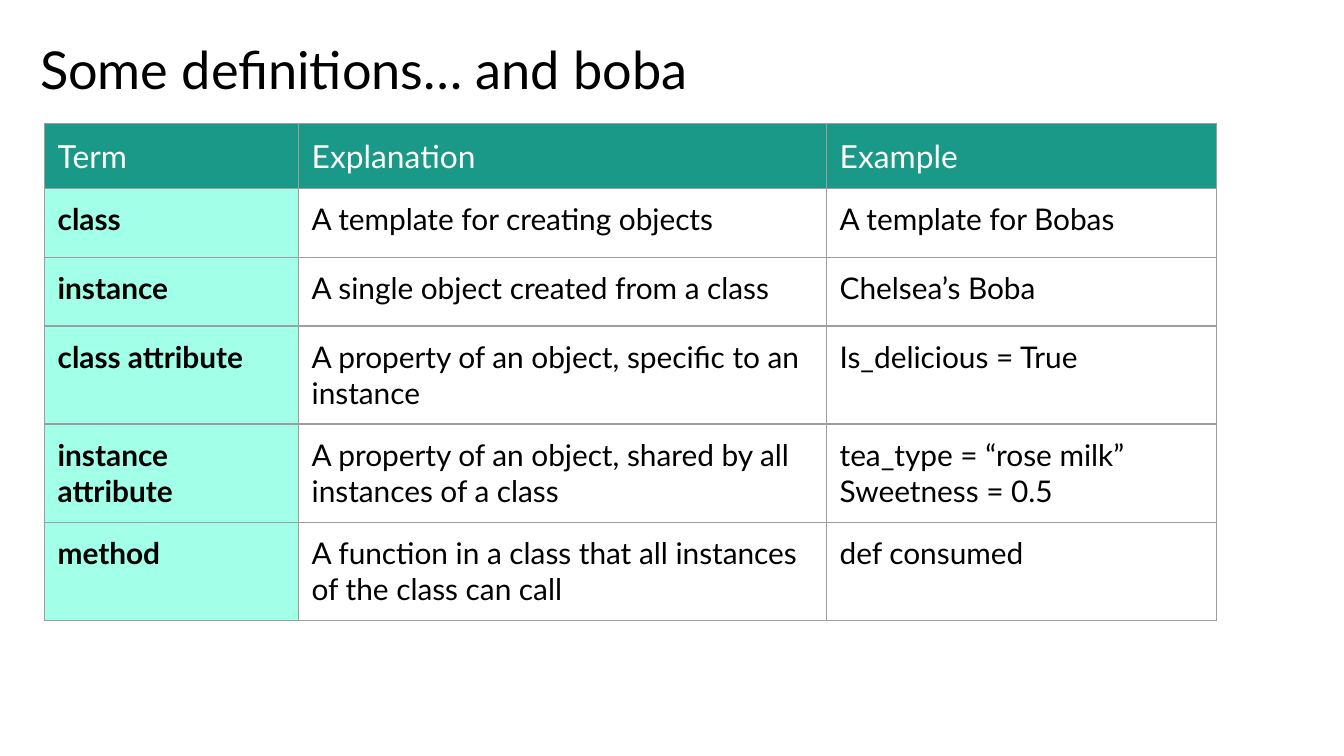
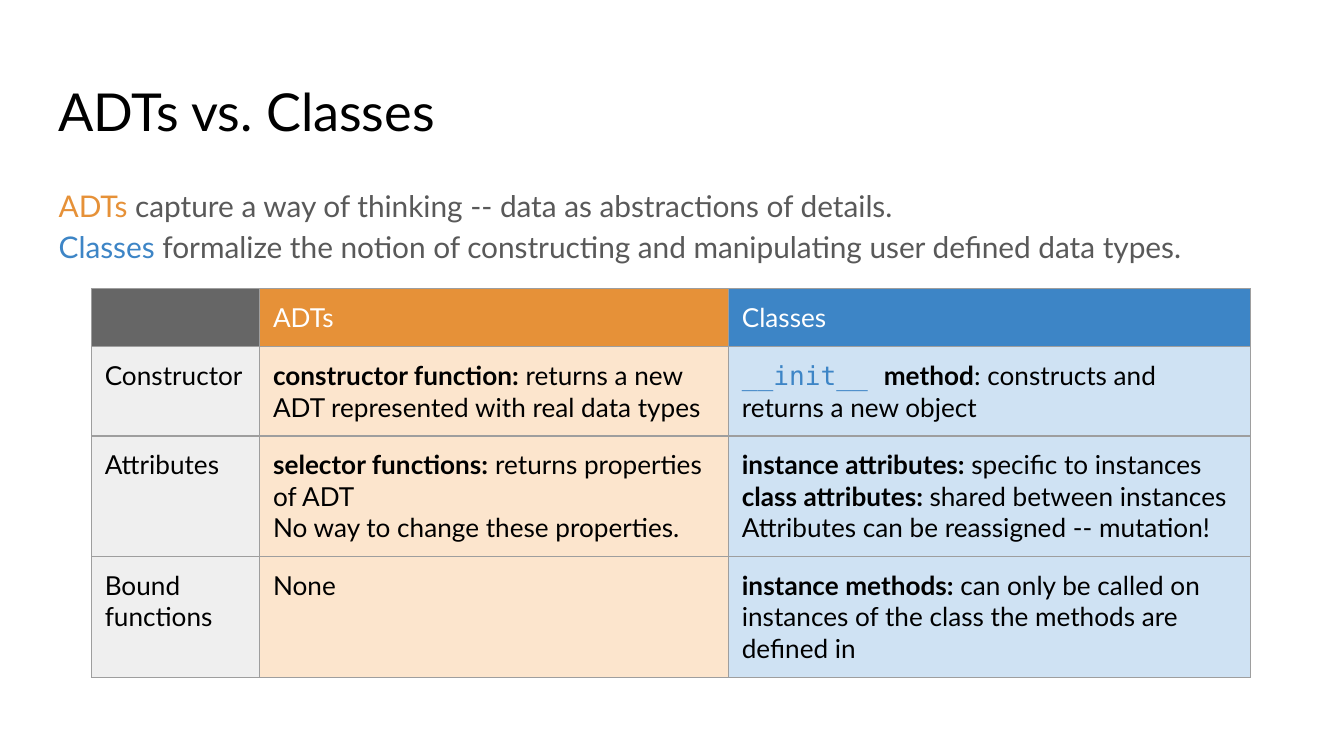
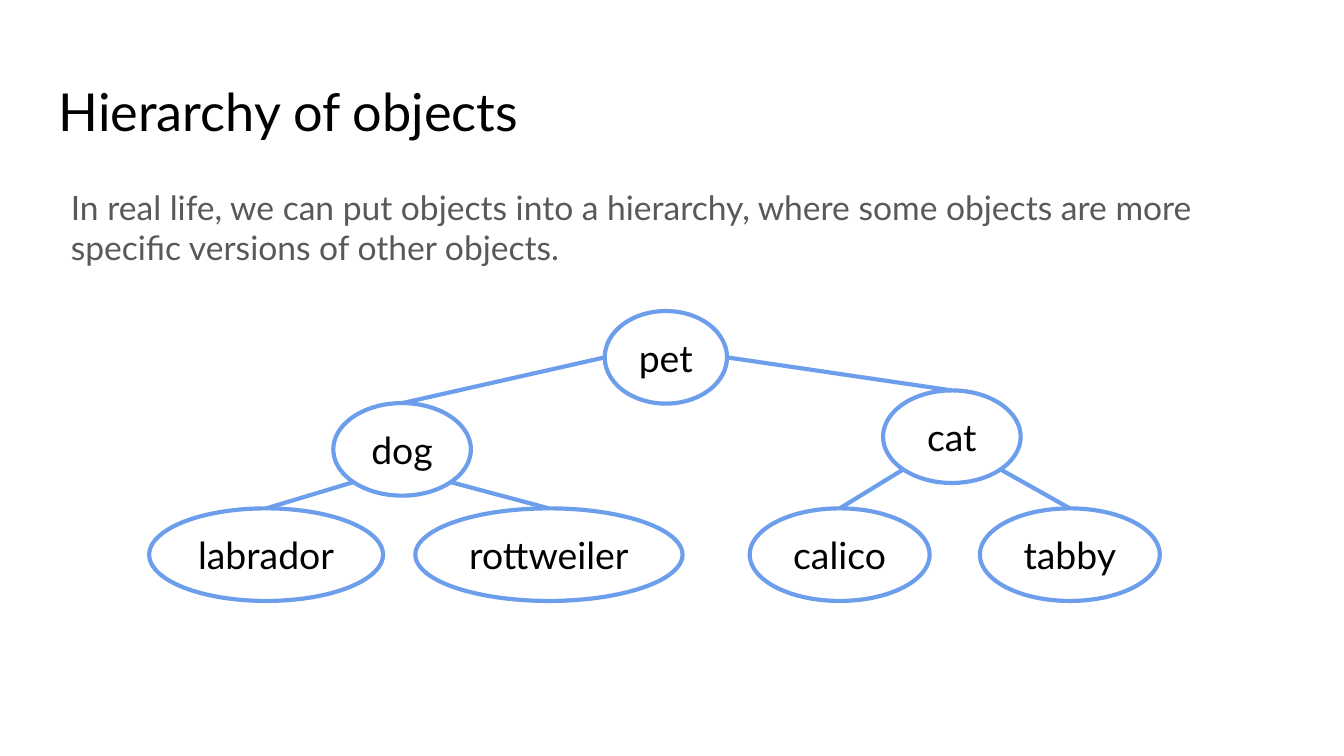
from math import cos, radians, sin

from lxml import etree
from pptx import Presentation
from pptx.dml.color import RGBColor
from pptx.enum.shapes import MSO_CONNECTOR, MSO_SHAPE
from pptx.enum.text import MSO_ANCHOR, PP_ALIGN
from pptx.oxml.ns import qn
from pptx.util import Cm, Pt

STRAIGHT = MSO_CONNECTOR.STRAIGHT
OVAL = MSO_SHAPE.OVAL
MIDDLE = MSO_ANCHOR.MIDDLE
TOP = MSO_ANCHOR.TOP
CENTER = PP_ALIGN.CENTER
LEFT = PP_ALIGN.LEFT

COLORS = {
    "text": "000000",
    "muted": "595959",
    "white": "FFFFFF",
    "grid": "9E9E9E",
    "teal": "1A9988",
    "mint": "A2FFE8",
    "orange": "E69138",
    "peach": "FCE5CD",
    "blue": "3D85C6",
    "sky": "CFE2F3",
    "dark": "666666",
    "light": "EFEFEF",
    "tree": "6D9EEB",
}
FONT = "Lato"
CODE_FONT = "DejaVu Sans Mono"
INSET = 0.25
LINE_WIDTH = 2.25
TITLE_SIZE = (23.67, 1.6)
BOLD = {"bold": True}


def rgb(color):
    return RGBColor.from_string(COLORS[color])


def write(frame, paragraphs, size, color="text", align=LEFT, spacing=None):
    for index, content in enumerate(paragraphs):
        paragraph = frame.paragraphs[0] if index == 0 else frame.add_paragraph()
        paragraph.alignment = align
        if spacing:
            paragraph.line_spacing = spacing
        runs = [(content, {})] if isinstance(content, str) else content
        for text, style in runs:
            run = paragraph.add_run()
            run.text = text
            run.font.name = style.get("font", FONT)
            run.font.size = Pt(size)
            run.font.bold = style.get("bold", False)
            run.font.color.rgb = rgb(style.get("color", color))


def set_insets(holder):
    holder.margin_left = holder.margin_right = Cm(INSET)
    holder.margin_top = holder.margin_bottom = Cm(INSET)


def add_text(slide, box, paragraphs, size, color="text", spacing=None):
    frame = slide.shapes.add_textbox(*map(Cm, box)).text_frame
    frame.word_wrap = True
    frame.vertical_anchor = TOP
    set_insets(frame)
    write(frame, paragraphs, size, color, spacing=spacing)


def add_title(slide, title, left=0.86, top=1.24):
    add_text(slide, (left, top, *TITLE_SIZE), [title], 28)


def add_borders(cell):
    properties = cell._tc.get_or_add_tcPr()
    for side in ("lnL", "lnR", "lnT", "lnB"):
        line = etree.SubElement(properties, qn(f"a:{side}"), w=str(Pt(0.75)))
        fill = etree.SubElement(line, qn("a:solidFill"))
        etree.SubElement(fill, qn("a:srgbClr"), val=COLORS["grid"])


def fill_cell(cell, paragraphs, fill, size, color, bold):
    add_borders(cell)
    if fill:
        cell.fill.solid()
        cell.fill.fore_color.rgb = rgb(fill)
    else:
        cell.fill.background()
    if paragraphs:
        set_insets(cell)
        if bold:
            paragraphs = [[(text, BOLD)] for text in paragraphs]
        write(cell.text_frame, paragraphs, size, color)


def add_grid(slide, origin, widths, heights, rows, header_fills, body_fills,
             header_size, body_size, bold_terms=False):
    box = (*origin, sum(widths), sum(heights))
    table = slide.shapes.add_table(len(rows), len(widths), *map(Cm, box)).table
    table.first_row = table.horz_banding = False
    for column, width in zip(table.columns, widths):
        column.width = Cm(width)
    for row, height in zip(table.rows, heights):
        row.height = Cm(height)
    for r, row in enumerate(rows):
        fills = body_fills if r else header_fills
        size, color = (body_size, "text") if r else (header_size, "white")
        for c, (paragraphs, fill) in enumerate(zip(row, fills)):
            fill_cell(table.cell(r, c), paragraphs, fill, size, color,
                      bold_terms and r > 0 and c == 0)


def add_tree(slide, origin, nodes, edges, node_height):
    left, top = origin

    def rim(name, angle):
        x, y, width = nodes[name]
        turn = radians(angle)
        return (Cm(left + x + width / 2 * (1 + cos(turn))),
                Cm(top + y + node_height / 2 * (1 + sin(turn))))

    for name, (x, y, width) in nodes.items():
        node = slide.shapes.add_shape(
            OVAL, Cm(left + x), Cm(top + y), Cm(width), Cm(node_height))
        node.shadow.inherit = False
        node.fill.background()
        node.line.color.rgb = rgb("tree")
        node.line.width = Pt(LINE_WIDTH)
        node.text_frame.word_wrap = True
        node.text_frame.vertical_anchor = MIDDLE
        set_insets(node.text_frame)
        write(node.text_frame, [name], 20, align=CENTER)

    for parent, angle, child in edges:
        branch = slide.shapes.add_connector(
            STRAIGHT, *rim(parent, angle), *rim(child, -90))
        branch.line.color.rgb = rgb("tree")
        branch.line.width = Pt(LINE_WIDTH)
        etree.SubElement(branch._element.spPr, qn("a:effectLst"))


def build_definitions(slide):
    add_title(slide, "Some definitions… and boba", 0.51, 0.46)
    rows = [
        (["Term"], ["Explanation"], ["Example"]),
        (["class"], ["A template for creating objects"], ["A template for Bobas"]),
        (["instance"], ["A single object created from a class"], ["Chelsea’s Boba"]),
        (["class attribute"],
         ["A property of an object, specific to an instance"],
         ["Is_delicious = True"]),
        (["instance attribute"],
         ["A property of an object, shared by all instances of a class"],
         ["tea_type = “rose milk”", "Sweetness = 0.5"]),
        (["method"],
         ["A function in a class that all instances of the class can call"],
         ["def consumed"]),
    ]
    add_grid(slide, (0.84, 2.34), (4.8, 9.98, 7.37),
             (1.12, 1.3, 1.3, 1.74, 1.74, 1.74), rows,
             ["teal"] * 3, ["mint", None, None], 17, 16, bold_terms=True)


def build_comparison(slide):
    add_title(slide, "ADTs vs. Classes")
    add_text(slide, (0.86, 3.2, 23.67, 2.64), [
        [("ADTs", {"color": "orange"}),
         (" capture a way of thinking -- data as abstractions of details.", {})],
        [("Classes", {"color": "blue"}),
         (" formalize the notion of constructing and manipulating"
          " user defined data types.", {})],
    ], 16, "muted", spacing=1.15)
    rows = [
        ([], ["ADTs"], ["Classes"]),
        (["Constructor"],
         [[("constructor function:", BOLD),
           (" returns a new ADT represented with real data types", {})]],
         [[("__init__ ", {"font": CODE_FONT, "color": "blue"}),
           ("method", BOLD),
           (": constructs and returns a new object", {})]]),
        (["Attributes"],
         [[("selector functions:", BOLD), (" returns properties of ADT", {})],
          "No way to change these properties."],
         [[("instance attributes: ", BOLD), ("specific to instances", {})],
          [("class attributes: ", BOLD), ("shared between instances", {})],
          "Attributes can be reassigned -- mutation!"]),
        (["Bound functions"],
         ["None"],
         [[("instance methods: ", BOLD),
           ("can only be called on instances of the class"
            " the methods are defined in", {})]]),
    ]
    add_grid(slide, (1.73, 5.46), (3.18, 8.86, 9.86), [1.08] * 4, rows,
             ["dark", "orange", "blue"], ["light", "peach", "sky"], 14, 14)


def build_hierarchy(slide):
    add_title(slide, "Hierarchy of objects")
    leaf_top = 3.73
    nodes = {
        "pet": (8.61, 0, 2.31),
        "dog": (3.48, 1.74, 2.6),
        "cat": (13.87, 1.5, 2.6),
        "labrador": (0, leaf_top, 4.42),
        "rottweiler": (5.03, leaf_top, 5.05),
        "calico": (11.35, leaf_top, 3.4),
        "tabby": (15.7, leaf_top, 3.4),
    }
    edges = [
        ("pet", 180, "dog"),
        ("dog", 135, "labrador"),
        ("dog", 45, "rottweiler"),
        ("cat", 135, "calico"),
        ("cat", 45, "tabby"),
        ("pet", 0, "cat"),
    ]
    add_tree(slide, (2.82, 5.88), nodes, edges, 1.75)
    add_text(slide, (1.09, 3.28, 22.63, 2.46), [
        "In real life, we can put objects into a hierarchy, where some objects"
        " are more specific versions of other objects."
    ], 18, "muted")


deck = Presentation()
deck.slide_width, deck.slide_height = Cm(25.4), Cm(14.29)
blank = deck.slide_layouts[6]
for build in (build_definitions, build_comparison, build_hierarchy):
    build(deck.slides.add_slide(blank))
deck.save("out.pptx")
